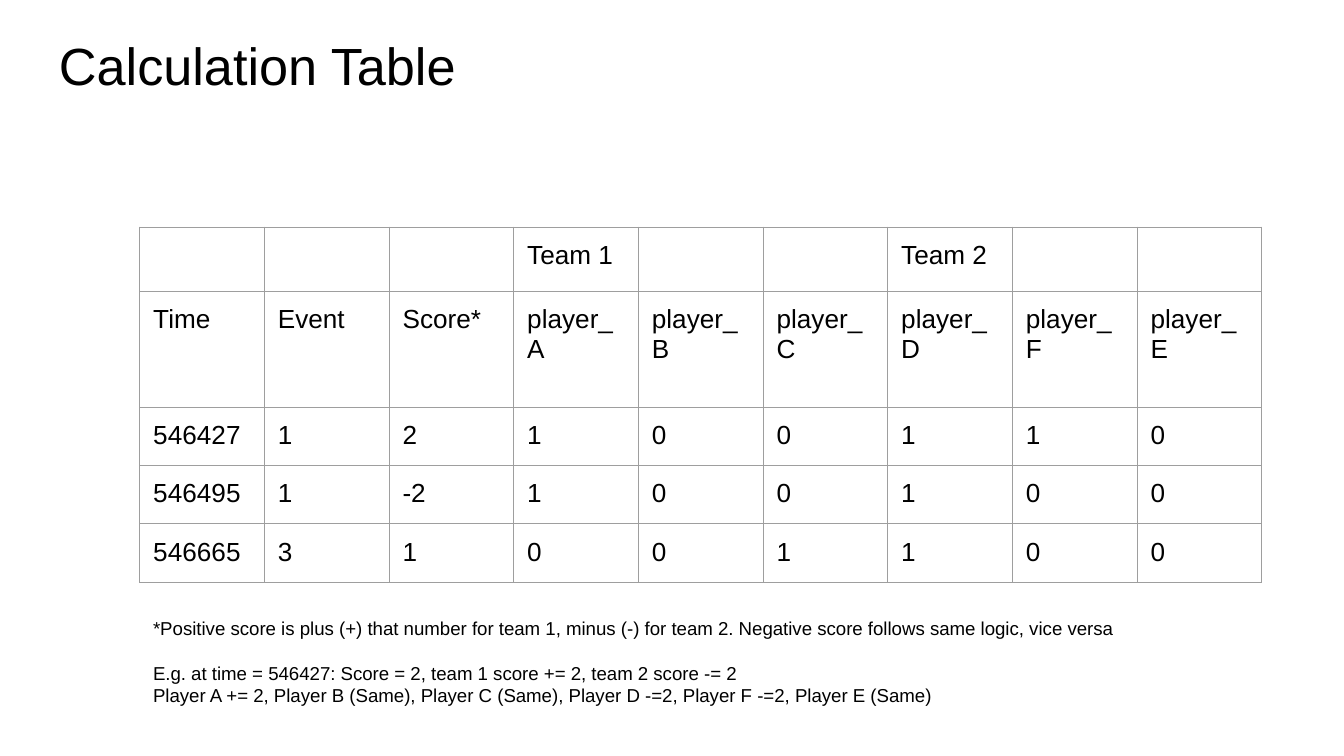
"""Build the Calculation Table slide."""
import pptx
import pptx.dml.color
import pptx.enum.text
import pptx.oxml
import pptx.oxml.ns
import pptx.util

BLACK = pptx.dml.color.RGBColor(0x00, 0x00, 0x00)
GREY = pptx.dml.color.RGBColor(0x9E, 0x9E, 0x9E)
FONT = "Arial"

TITLE = "Calculation Table"
SCORES = [
    ["", "", "", "Team 1", "", "", "Team 2", "", ""],
    ["Time", "Event", "Score*", "player_A", "player_B", "player_C",
     "player_D", "player_F", "player_E"],
    ["546427", "1", "2", "1", "0", "0", "1", "1", "0"],
    ["546495", "1", "-2", "1", "0", "0", "1", "0", "0"],
    ["546665", "3", "1", "0", "0", "1", "1", "0", "0"],
]
NOTES = [
    "*Positive score is plus (+) that number for team 1, minus (-) for team 2. "
    "Negative score follows same logic, vice versa",
    "E.g. at time = 546427: Score = 2, team 1 score += 2, team 2 score -= 2",
    "Player A += 2, Player B (Same), Player C (Same), Player D -=2, "
    "Player F -=2, Player E (Same)",
]

SLIDE_WIDTH = 10
SLIDE_HEIGHT = SLIDE_WIDTH * 9 / 16
MARGIN = 0.34
GRID_LEFT, GRID_TOP, GRID_WIDTH = 1.04, 1.69, 8.35
ROW_HEIGHTS = [0.48, 0.86, 0.43, 0.43, 0.43]
NOTES_TOP = 4.49
INSET = pptx.util.Inches(0.1)


def write(frame, lines, size, gaps=()):
    frame.word_wrap = True
    for index, line in enumerate(lines):
        paragraph = frame.paragraphs[0] if index == 0 else frame.add_paragraph()
        paragraph.font.size = pptx.util.Pt(size)
        if index in gaps:
            paragraph.space_before = pptx.util.Pt(gaps[index])
        if line:
            run = paragraph.add_run()
            run.text = line
            run.font.size = pptx.util.Pt(size)
            run.font.name = FONT
            run.font.color.rgb = BLACK


def add_text(slide, box, lines, size, gaps=()):
    frame = slide.shapes.add_textbox(*map(pptx.util.Inches, box)).text_frame
    frame.margin_left = frame.margin_right = INSET
    frame.margin_top = frame.margin_bottom = INSET
    frame.vertical_anchor = pptx.enum.text.MSO_ANCHOR.TOP
    write(frame, lines, size, gaps)


def outline(cell):
    properties = cell._tc.get_or_add_tcPr()
    for position, side in enumerate(("lnL", "lnR", "lnT", "lnB")):
        border = pptx.oxml.parse_xml(
            f'<a:{side} {pptx.oxml.ns.nsdecls("a")} w="{pptx.util.Pt(0.75)}">'
            f'<a:solidFill><a:srgbClr val="{GREY}"/></a:solidFill></a:{side}>')
        properties.insert(position, border)


def add_scores(slide):
    box = (GRID_LEFT, GRID_TOP, GRID_WIDTH, sum(ROW_HEIGHTS))
    table = slide.shapes.add_table(
        len(SCORES), len(SCORES[0]), *map(pptx.util.Inches, box)).table
    table.first_row = table.horz_banding = False
    for column in table.columns:
        column.width = pptx.util.Inches(GRID_WIDTH / len(SCORES[0]))
    for row, height, values in zip(table.rows, ROW_HEIGHTS, SCORES):
        row.height = pptx.util.Inches(height)
        for cell, value in zip(row.cells, values):
            cell.margin_left = cell.margin_right = INSET
            cell.margin_top = cell.margin_bottom = INSET
            cell.fill.background()
            outline(cell)
            write(cell.text_frame, [value], 14)


def main():
    deck = pptx.Presentation()
    deck.slide_width = pptx.util.Inches(SLIDE_WIDTH)
    deck.slide_height = pptx.util.Inches(SLIDE_HEIGHT)
    slide = deck.slides.add_slide(deck.slide_layouts[6])
    add_text(slide, (MARGIN, 0.15, SLIDE_WIDTH - 2 * MARGIN, 0.63), [TITLE], 28)
    add_scores(slide)
    add_text(slide, (GRID_LEFT, NOTES_TOP, GRID_WIDTH, 0.42), NOTES, 10, gaps={1: 12})
    deck.save("out.pptx")


if __name__ == "__main__":
    main()
